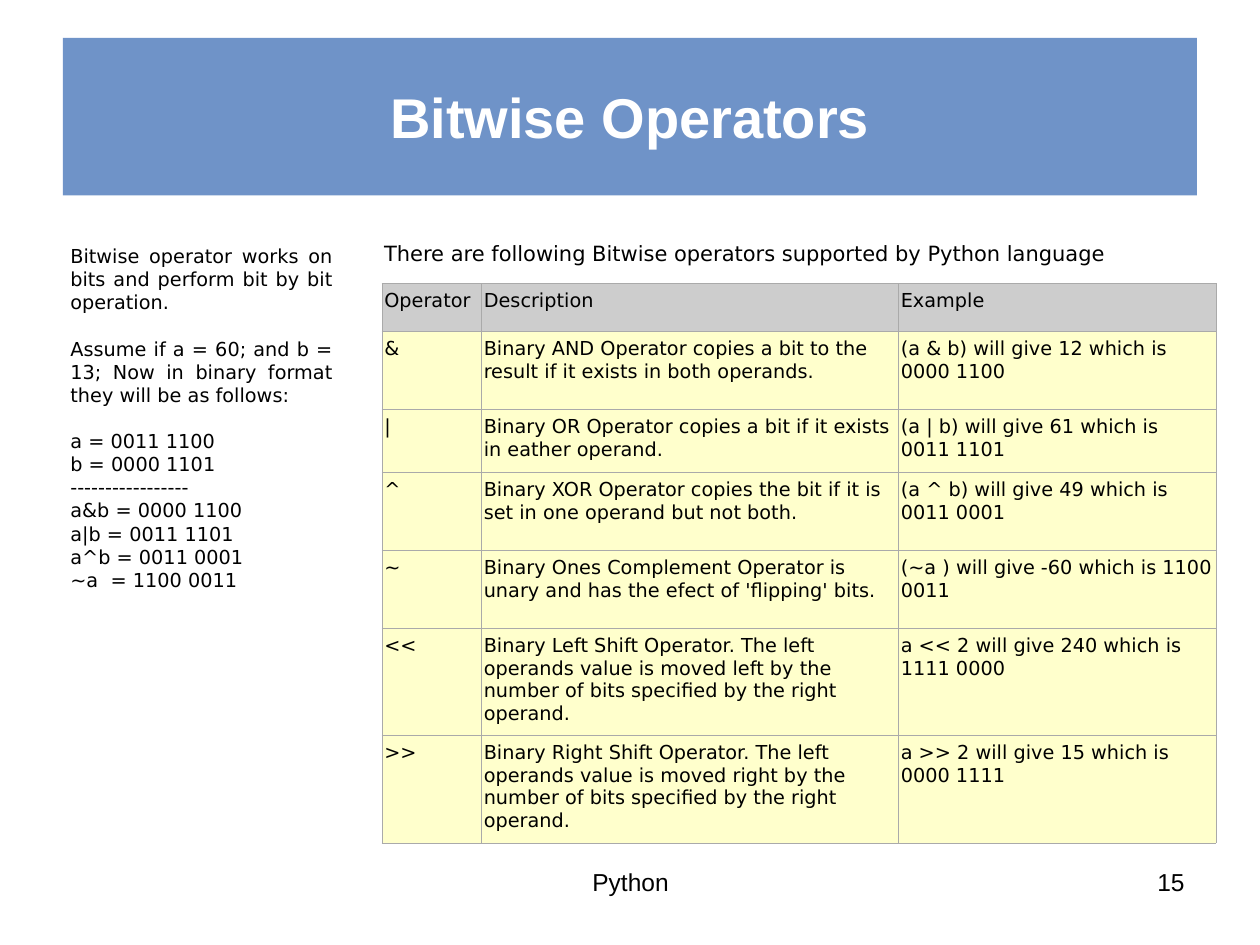
from lxml import etree
from pptx import Presentation
from pptx import util as u
from pptx.dml.color import RGBColor
from pptx.enum import shapes, text
from pptx.oxml.ns import qn

COLORS = {"banner": "4775B9", "white": "FFFFFF", "ink": "000000",
          "header": "CDCDCD", "body": "FFFFCC", "border": "AAAAAA"}
HEADING_FONT, BODY_FONT = "Arial", "DejaVu Sans"
ALIGN, ANCHOR = text.PP_ALIGN, text.MSO_ANCHOR


def rgb(name):
    return RGBColor.from_string(COLORS[name])


class SlideBuilder:
    """Holds the style and the current slide."""

    def __init__(self, slide):
        self.slide = slide

    def format_text(self, frame, size, font, color="ink", align=ALIGN.LEFT, bold=False):
        for paragraph in frame.paragraphs:
            paragraph.alignment = align
            for run in paragraph.runs:
                run.font.size, run.font.name = u.Pt(size), font
                run.font.bold = bold
                run.font.color.rgb = rgb(color)

    def banner(self, box, title, opacity):
        banner = self.slide.shapes.add_shape(
            shapes.MSO_SHAPE.RECTANGLE, *map(u.Inches, box))
        banner.shadow.inherit = False
        banner.fill.solid()
        banner.fill.fore_color.rgb = rgb("banner")
        banner.line.fill.background()
        fill_color = banner._element.spPr.find(qn("a:solidFill"))[0]
        etree.SubElement(fill_color, qn("a:alpha"), val=str(opacity * 1000))
        frame = banner.text_frame
        frame.text = title
        frame.vertical_anchor = ANCHOR.MIDDLE
        self.format_text(frame, 32, HEADING_FONT, "white", ALIGN.CENTER, True)

    def text_box(self, box, lines, size, font, align, anchor=ANCHOR.TOP):
        frame = self.slide.shapes.add_textbox(*map(u.Inches, box)).text_frame
        frame.word_wrap = True
        frame.vertical_anchor = anchor
        frame.text = "\n".join(lines)
        self.format_text(frame, size, font, align=align)
        return frame

    def border(self, cell):
        properties = cell._tc.get_or_add_tcPr()
        for position, side in enumerate(("a:lnL", "a:lnR", "a:lnT", "a:lnB")):
            line = etree.Element(qn(side), w=str(u.Pt(0.34)))
            fill = etree.SubElement(line, qn("a:solidFill"))
            etree.SubElement(fill, qn("a:srgbClr"), val=COLORS["border"])
            properties.insert(position, line)

    def table(self, left, top, widths, heights, rows):
        table = self.slide.shapes.add_table(
            len(rows), len(widths), u.Inches(left), u.Inches(top),
            u.Inches(sum(widths)), u.Inches(sum(heights))).table
        for column, width in zip(table.columns, widths):
            column.width = u.Inches(width)
        for index, (row, height, values) in enumerate(zip(table.rows, heights, rows)):
            row.height = u.Inches(height)
            for cell, value in zip(row.cells, values):
                cell.text = value
                cell.margin_left = cell.margin_right = u.Inches(0.02)
                cell.fill.solid()
                cell.fill.fore_color.rgb = rgb("body" if index else "header")
                self.border(cell)
                self.format_text(cell.text_frame, 11, BODY_FONT)


OPERATORS = [
    ("Operator", "Description", "Example"),
    ("&", "Binary AND Operator copies a bit to the result if it exists in both operands.",
     "(a & b) will give 12 which is 0000 1100"),
    ("|", "Binary OR Operator copies a bit if it exists in eather operand.",
     "(a | b) will give 61 which is 0011 1101"),
    ("^", "Binary XOR Operator copies the bit if it is set in one operand but not both.",
     "(a ^ b) will give 49 which is 0011 0001"),
    ("~", "Binary Ones Complement Operator is unary and has the efect of 'flipping' bits.",
     "(~a ) will give -60 which is 1100 0011"),
    ("<<", "Binary Left Shift Operator. The left operands value is moved left by the "
     "number of bits specified by the right operand.",
     "a << 2 will give 240 which is 1111 0000"),
    (">>", "Binary Right Shift Operator. The left operands value is moved right by the "
     "number of bits specified by the right operand.",
     "a >> 2 will give 15 which is 0000 1111"),
]
EXPLANATION = [
    "Bitwise operator works on bits and perform bit by bit operation.",
    "Assume if a = 60; and b = 13; Now in binary format they will be as follows:",
    "a = 0011 1100",
    "b = 0000 1101",
    "-----------------",
    "a&b = 0000 1100",
    "a|b = 0011 1101",
    "a^b = 0011 0001",
    "~a  = 1100 0011",
]


def main():
    deck = Presentation()
    deck.slide_width, deck.slide_height = u.Inches(10), u.Inches(7.5)
    builder = SlideBuilder(deck.slides.add_slide(deck.slide_layouts[6]))

    # Title banner
    builder.banner((0.5, 0.3, 9, 1.25), "Bitwise Operators", opacity=78)

    # Operator table
    builder.table(3.03, 2.25, (0.79, 3.31, 2.52),
                  (0.38, 0.62, 0.5, 0.62, 0.62, 0.85, 0.85), OPERATORS)

    # Explanation, with a line of space before the second and third parts
    explanation = builder.text_box((0.46, 1.89, 2.28, 2.85), EXPLANATION, 11,
                                   BODY_FONT, ALIGN.JUSTIFY, ANCHOR.MIDDLE)
    line_height = u.Pt(13.2)
    for paragraph in explanation.paragraphs:
        paragraph.line_spacing = line_height
    for paragraph in explanation.paragraphs[1:3]:
        paragraph.space_before = line_height

    # Table introduction
    builder.text_box((2.95, 1.86, 6.53, 0.3),
                     ["There are following Bitwise operators supported by Python language"],
                     12, BODY_FONT, ALIGN.JUSTIFY)

    # Footer
    builder.text_box((7.17, 6.83, 2.33, 0.52), ["15"], 14, HEADING_FONT, ALIGN.RIGHT)
    builder.text_box((3.42, 6.83, 3.17, 0.52), ["Python"], 14, HEADING_FONT, ALIGN.CENTER)

    deck.save("out.pptx")


if __name__ == "__main__":
    main()
